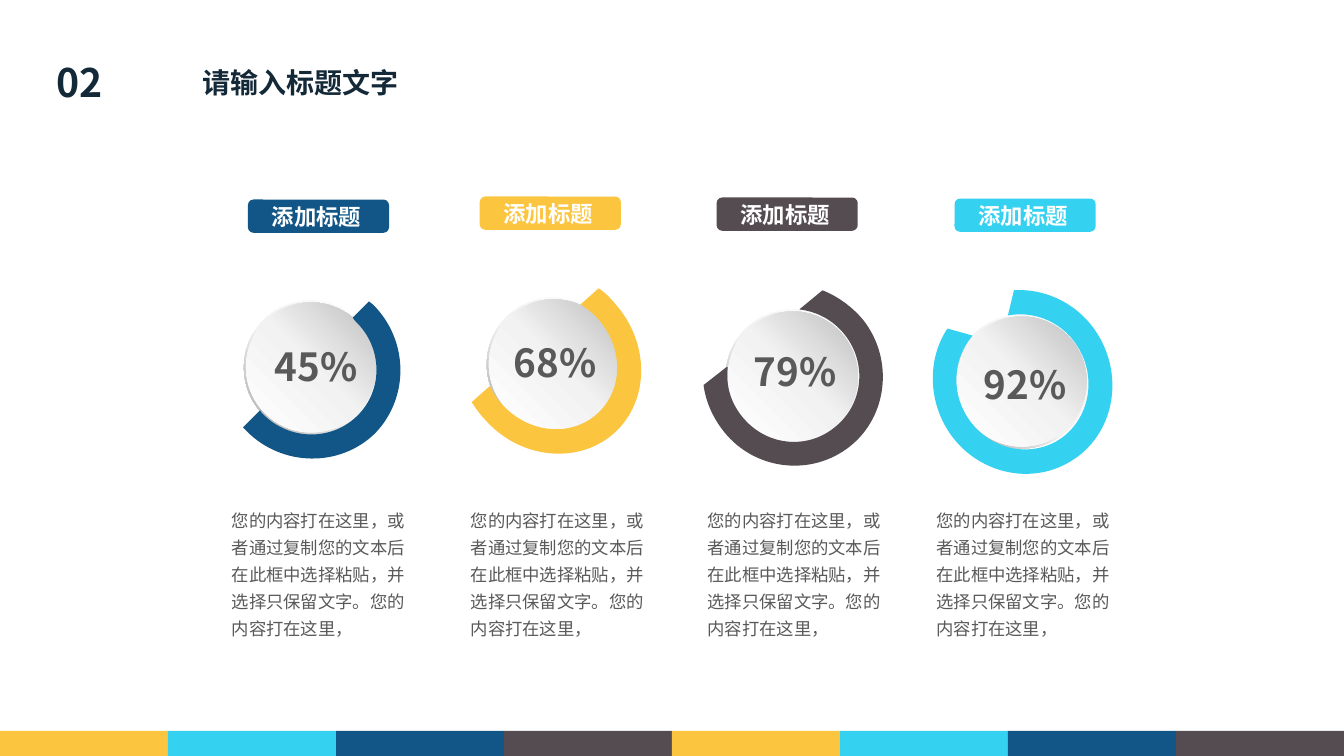
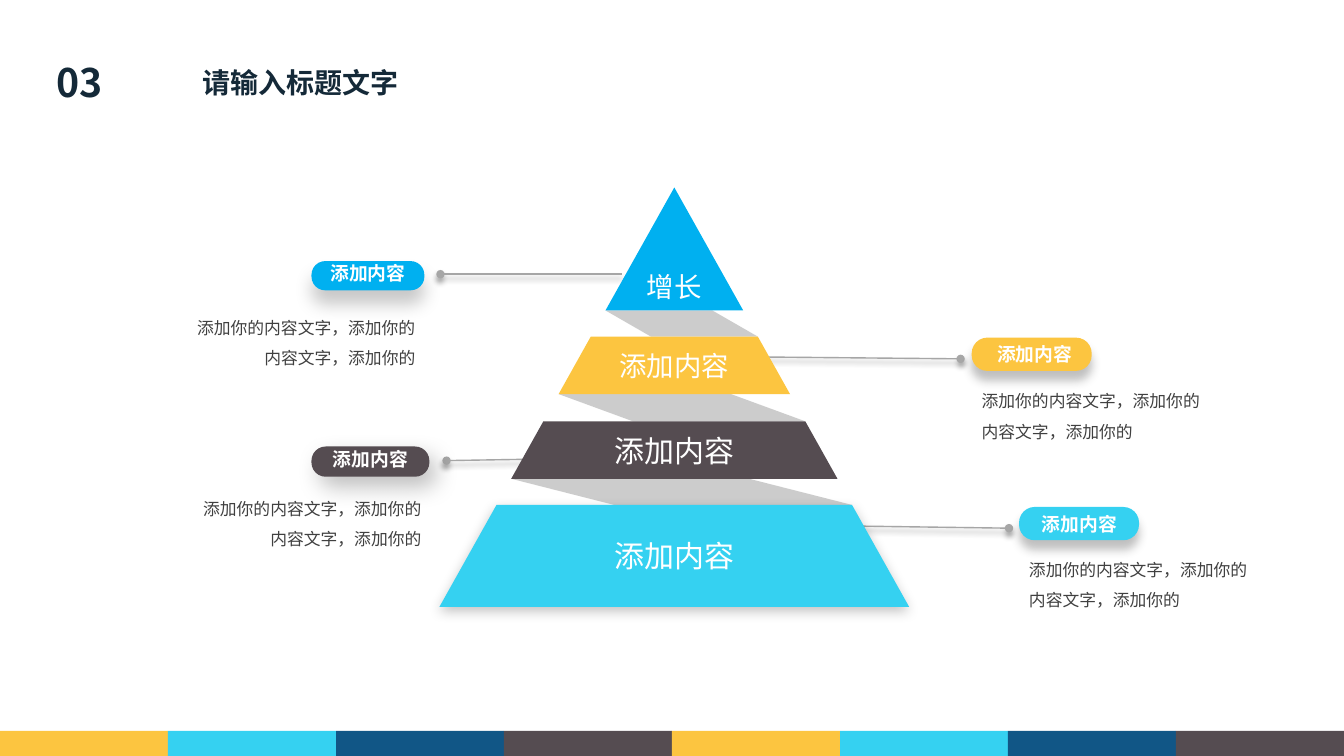
from copy import deepcopy

from lxml import etree
from pptx import Presentation, util as u
from pptx.dml.color import RGBColor
from pptx.enum import shapes, text
from pptx.oxml.ns import qn

PX = 9144  # EMU per px, 100 px to the inch
SLIDE_W, SLIDE_H = u.Emu(12192000), 750 * PX
FONT = "Noto Sans CJK SC"
NAVY, WHITE, GREY, DARK = "142938", "FFFFFF", "595959", "404040"
YELLOW, CYAN, BLUE, BROWN, SKY = "FCC540", "35D1F1", "115686", "554C51", "00B0F0"
BAND = [YELLOW, CYAN, BLUE, BROWN] * 2
LEFT, CENTER, RIGHT = text.PP_ALIGN.LEFT, text.PP_ALIGN.CENTER, text.PP_ALIGN.RIGHT
TOP, MIDDLE, BOTTOM = (text.MSO_ANCHOR.TOP, text.MSO_ANCHOR.MIDDLE,
                       text.MSO_ANCHOR.BOTTOM)

HEADING = "请输入标题文字"
GAUGE_TITLE = "添加标题"
GAUGE_BODY = ("您的内容打在这里，或者通过复制您的文本后在此框中选择粘贴，"
              "并选择只保留文字。您的内容打在这里，")
# Arc outlines: two numbers are a straight step, six are a Bézier curve.
GAUGES = [
    dict(percent="45%", color=BLUE, title=(246, 198), disc=(242, 298),
         value=(263, 335), body=215, arc=[
             (366, 299), (367, 300, 369, 301, 370, 302),
             (406, 338, 406, 395, 372, 430), (337, 464, 280, 463, 245, 428),
             (243, 426, 242, 425, 241, 424), (258, 407),
             (259, 409, 260, 410, 261, 411), (287, 437, 329, 438, 355, 412),
             (380, 387, 380, 345, 353, 319), (352, 318, 351, 317, 350, 315)]),
    dict(percent="68%", color=YELLOW, title=(476, 195), disc=(483, 295),
         value=(500, 331), body=452, arc=[
             (594, 286), (600, 290, 605, 295, 610, 301),
             (645, 340, 645, 398, 609, 430), (574, 461, 516, 456, 481, 416),
             (476, 411, 472, 405, 468, 399), (486, 383),
             (489, 389, 493, 396, 498, 401), (524, 430, 566, 434, 592, 411),
             (619, 387, 619, 345, 593, 316), (588, 310, 582, 306, 576, 302)]),
    dict(percent="79%", color=BROWN, title=(711, 196), disc=(720, 307),
         value=(738, 340), body=687, arc=[
             (816, 288), (831, 294, 845, 304, 856, 317),
             (887, 356, 881, 413, 843, 443), (805, 473, 749, 467, 718, 428),
             (707, 414, 700, 398, 698, 382), (721, 364), (722, 364),
             (720, 381, 724, 398, 736, 413), (759, 442, 800, 447, 828, 424),
             (856, 402, 861, 361, 838, 332), (826, 317, 810, 309, 793, 307)]),
    dict(percent="92%", color=CYAN, title=(947, 197), disc=(947, 312),
         value=(966, 353), body=914, arc=[
             (1006, 288), (1039, 286, 1073, 303, 1091, 335),
             (1116, 379, 1103, 435, 1060, 459), (1018, 483, 963, 467, 938, 423),
             (920, 391, 922, 353, 940, 326), (965, 333),
             (947, 354, 943, 385, 958, 411), (977, 444, 1017, 455, 1048, 438),
             (1079, 420, 1089, 379, 1071, 347), (1056, 320, 1027, 308, 1000, 313)]),
]

NOTE_TITLE = "添加内容"
NOTE_BODY = "添加你的内容文字，添加你的内容文字，添加你的"
# Shadows: colour, opacity %, blur pt, distance pt, direction in degrees.
LINE_SHADOW = ("000000", 40, 4, 3, 90)
RIGHT_SHADOW = (DARK, 32, 7, 7, 90)
BASE_SHADOW = ("000000", 23, 9, 3, 90)
# Insets are left, top, right, bottom.
NOTES = [
    dict(color=SKY, pill=(309, 259, 112, 29), inset=(0, 0, 0, 5),
         shadow=("000000", 22, 13, 10, 90), line=(617, 272, 437, 272),
         body=(184, 300), align=RIGHT),
    dict(color=YELLOW, pill=(964, 335, 119, 33), inset=(6, 0, 0, 0),
         shadow=RIGHT_SHADOW, line=(737, 354, 953, 356),
         body=(964, 373), align=LEFT),
    dict(color=BROWN, pill=(309, 443, 117, 30), inset=(0, 0, 0, 5),
         shadow=("000000", 26, 17, 9, 54), line=(622, 454, 443, 457),
         body=(190, 480), align=RIGHT),
    dict(color=CYAN, pill=(1011, 503, 119, 33), inset=(1, 0, 0, 0),
         shadow=RIGHT_SHADOW, line=(784, 521, 1001, 524),
         body=(1011, 540), align=LEFT),
]
APEX_X, APEX_Y, PYRAMID_SLOPE = 669, 186, 0.56
# Label, colour, top, bottom, text size, anchor, shadow
TIERS = [
    ("增长", SKY, 186, 308, 19.6, BOTTOM, None),
    ("添加内容", YELLOW, 334, 391, 19.6, MIDDLE, None),
    ("添加内容", BROWN, 418, 475, 21.4, MIDDLE, None),
    ("添加内容", CYAN, 501, 602, 21.4, MIDDLE, BASE_SHADOW),
]
FOLD_WIDTHS = [106, 171, 236]


def rgb(hex_color):
    return RGBColor.from_string(hex_color)


def px(*lengths):
    return [round(length * PX) for length in lengths]


def set_shadow(shape, shadow=None):
    """Replace the theme shadow by the given one, or by none."""
    props = shape._element.spPr
    effects = props.find(qn("a:effectLst"))
    if effects is None:
        effects = etree.SubElement(props, qn("a:effectLst"))
    if shadow:
        color, opacity, blur, distance, direction = shadow
        outer = etree.SubElement(
            effects, qn("a:outerShdw"), blurRad=str(blur * 12700),
            dist=str(distance * 12700), dir=str(direction * 60000),
            algn="ctr", rotWithShape="0")
        tint = etree.SubElement(outer, qn("a:srgbClr"), val=color)
        etree.SubElement(tint, qn("a:alpha"), val=str(opacity * 1000))


def paint(shape, color, shadow=None):
    shape.fill.solid()
    shape.fill.fore_color.rgb = rgb(color)
    shape.line.fill.background()
    set_shadow(shape, shadow)
    return shape


def write(shape, words, size, color, bold=False, align=LEFT, anchor=TOP,
          inset=(10, 5, 10, 5), spacing=None, wrap=True):
    frame = shape.text_frame
    frame.word_wrap = wrap
    frame.vertical_anchor = anchor
    (frame.margin_left, frame.margin_top,
     frame.margin_right, frame.margin_bottom) = px(*inset)
    paragraph = frame.paragraphs[0]
    paragraph.text = words
    paragraph.alignment = align
    if spacing:
        paragraph.line_spacing = spacing
    font = paragraph.font
    font.size, font.bold, font.name = u.Pt(size), bold, FONT
    font.color.rgb = rgb(color)
    etree.SubElement(font._rPr, qn("a:ea"), typeface=FONT)


def add_text(slide, box, words, size, color, **style):
    write(slide.shapes.add_textbox(*px(*box)), words, size, color, **style)


def add_block(slide, kind, box, color, shadow=None):
    return paint(slide.shapes.add_shape(kind, *px(*box)), color, shadow)


def add_outline(slide, steps, color, shadow=None):
    """Draw a closed outline of straight steps and Bézier curves."""
    start, *rest = [px(*step[i:i + 2]) for step in steps
                    for i in range(0, len(step), 2)]
    builder = slide.shapes.build_freeform(*start, scale=1.0)
    builder.add_line_segments(rest, close=True)
    outline = builder.convert_to_shape()
    corners = iter(list(outline._element.spPr.iter(qn("a:lnTo"))))
    for step in steps[1:]:
        segment = next(corners)
        if len(step) == 6:
            segment.addprevious(etree.Element(qn("a:cubicBezTo")))
            curve = segment.getprevious()
            for corner in (segment, next(corners), next(corners)):
                curve.append(corner[0])
                corner.getparent().remove(corner)
    return paint(outline, color, shadow)


def add_gradient_disc(slide, kind, box, stops, angle):
    disc = add_block(slide, kind, box, WHITE)
    disc.fill.gradient()
    disc.fill.gradient_angle = angle
    stop_list = disc._element.spPr.find(".//" + qn("a:gsLst"))
    stop_list.append(deepcopy(stop_list[0]))
    for stop, (position, color) in zip(disc.fill.gradient_stops, stops):
        stop.position = position
        stop.color.rgb = rgb(color)
    return disc


def new_slide(deck, number):
    slide = deck.slides.add_slide(deck.slide_layouts[6])
    band_w = SLIDE_W / PX / len(BAND)
    for i, color in enumerate(BAND):
        add_block(slide, shapes.MSO_SHAPE.RECTANGLE,
                  (i * band_w, 725, band_w, 25), color)
    add_text(slide, (44, 53, 69, 57), number, 28, NAVY, bold=True, align=CENTER)
    add_text(slide, (191, 60, 217, 44), HEADING, 20, NAVY, bold=True, wrap=False)
    return slide


def build_gauges(deck):
    slide = new_slide(deck, "02")
    for gauge in GAUGES:
        x, y = gauge["disc"]
        rim = add_gradient_disc(
            slide, shapes.MSO_SHAPE.DONUT, (x, y, 133, 133),
            [(0, WHITE), (0.55, "F2F2F2"), (1, "A6A6A6")], 225)
        rim.adjustments[0] = 0.05
        add_gradient_disc(
            slide, shapes.MSO_SHAPE.OVAL, (x + 2, y + 2, 129, 129),
            [(0, WHITE), (0.51, "F2F2F2"), (1, "BFBFBF")], 45)
        add_outline(slide, gauge["arc"], gauge["color"])
        add_text(slide, (*gauge["value"], 120, 57), gauge["percent"], 27.6, GREY,
                 bold=True)
        title = add_block(slide, shapes.MSO_SHAPE.FLOWCHART_ALTERNATE_PROCESS,
                          (*gauge["title"], 140, 33), gauge["color"])
        write(title, GAUGE_TITLE, 16, WHITE, bold=True, align=CENTER,
              anchor=MIDDLE, inset=(0, 0, 4, 0), wrap=False)
        add_text(slide, (gauge["body"], 492, 212, 149), GAUGE_BODY, 12.4, GREY,
                 inset=(15, 8, 15, 8), spacing=1.3)


def add_note(slide, note):
    line = slide.shapes.add_connector(shapes.MSO_CONNECTOR.STRAIGHT,
                                      *px(*note["line"]))
    line.line.color.rgb = rgb("A6A6A6")
    line.line.width = u.Pt(1)
    etree.SubElement(line.line._get_or_add_ln(), qn("a:tailEnd"), type="oval")
    set_shadow(line, LINE_SHADOW)
    pill = add_block(slide, shapes.MSO_SHAPE.ROUNDED_RECTANGLE, note["pill"],
                     note["color"], note["shadow"])
    pill.adjustments[0] = 0.47
    write(pill, NOTE_TITLE, 13.4, WHITE, bold=True, align=CENTER, anchor=MIDDLE,
          inset=note["inset"], wrap=False)
    add_text(slide, (*note["body"], 238, 67), NOTE_BODY, 12, DARK,
             align=note["align"], spacing=1.5)


def pyramid_edges(y):
    half = (y - APEX_Y) * PYRAMID_SLOPE
    return APEX_X - half, APEX_X + half


def build_pyramid(deck):
    slide = new_slide(deck, "03")
    for note in NOTES:
        add_note(slide, note)
    for upper, lower, width in zip(TIERS, TIERS[1:], FOLD_WIDTHS):
        top, bottom = upper[3], lower[2]
        left, right = pyramid_edges(top)[0], pyramid_edges(bottom)[1]
        fold = add_outline(slide, [(left, top), (left + width, top),
                                   (right, bottom), (right - width, bottom)],
                           "BFBFBF")
        tint = fold._element.spPr.find(qn("a:solidFill"))[0]
        etree.SubElement(tint, qn("a:alpha"), val="79000")
    for label, color, top, bottom, size, anchor, shadow in TIERS:
        (top_left, top_right), (left, right) = pyramid_edges(top), pyramid_edges(bottom)
        corners = [(left, bottom), (top_left, top), (right, bottom)]
        if top > APEX_Y:
            corners.insert(2, (top_right, top))
        tier = add_outline(slide, corners, color, shadow)
        write(tier, label, size, WHITE, align=CENTER, anchor=anchor,
              inset=(13, 7, 13, 7))


def main():
    deck = Presentation()
    deck.slide_width, deck.slide_height = SLIDE_W, SLIDE_H
    build_gauges(deck)
    build_pyramid(deck)
    deck.save("out.pptx")


if __name__ == "__main__":
    main()
